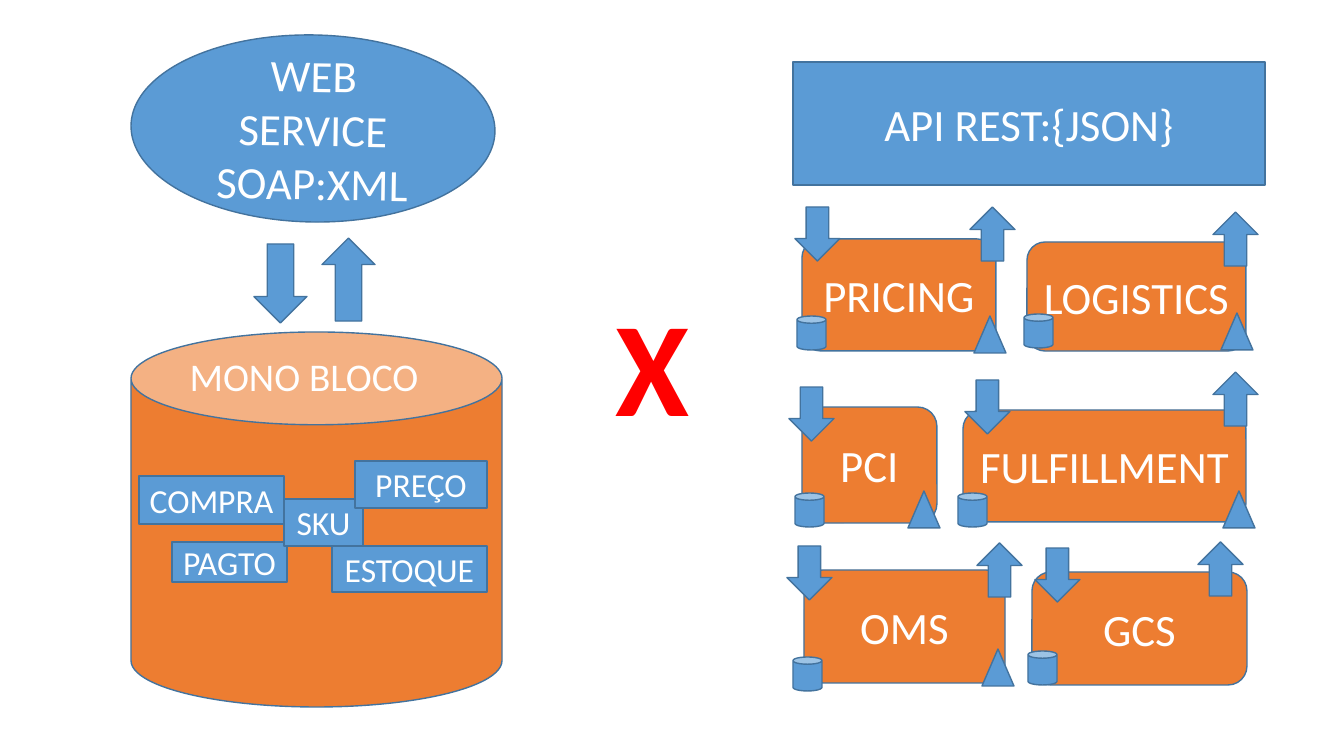
import pptx
import pptx.util
import pptx.dml.color
import pptx.enum.shapes
import pptx.enum.text

RGBColor = pptx.dml.color.RGBColor
SHAPE = pptx.enum.shapes.MSO_SHAPE
ANCHOR = pptx.enum.text.MSO_ANCHOR

BLUE = RGBColor(0x5B, 0x9B, 0xD5)
OUTLINE = RGBColor(0x43, 0x73, 0x9E)
ORANGE = RGBColor(0xED, 0x7D, 0x31)
WHITE = RGBColor(0xFF, 0xFF, 0xFF)
RED = RGBColor(0xFF, 0x00, 0x00)

FONT = "Calibri"
EMU_PER_PX = 914400 / 100.8

# Small marks on a service: shape, width, height, rotation
MARKS = {
    "request": (SHAPE.DOWN_ARROW, 45, 54, 0),
    "response": (SHAPE.DOWN_ARROW, 45, 54, 180),
    "database": (SHAPE.CAN, 29, 34, 0),
    "module": (SHAPE.ISOSCELES_TRIANGLE, 32, 37, 0),
}

# Name, box within the panel, and each mark's offset within the service
SERVICES = [
    ("PRICING", (15, 177, 194, 112),
     {"request": (-7, -32), "response": (168, -32), "database": (-5, 77), "module": (172, 77)}),
    ("LOGISTICS", (240, 180, 219, 109),
     {"response": (186, -30), "database": (-3, 72), "module": (194, 71)}),
    ("PCI", (15, 345, 135, 116),
     {"request": (-13, -20), "database": (-7, 86), "module": (106, 84)}),
    ("FULFILLMENT", (176, 348, 283, 112),
     {"request": (2, -30), "response": (250, -38), "database": (-5, 83), "module": (260, 81)}),
    ("OMS", (17, 508, 201, 113),
     {"request": (-17, -24), "response": (173, -27), "database": (-11, 87), "module": (178, 79)}),
    ("GCS", (245, 510, 215, 113),
     {"request": (3, -24), "response": (166, -30), "database": (-4, 79)}),
]

# Parts of the monolith, boxes within the panel
MONOLITH_PARTS = [
    ("COMPRA", (8, 441, 145, 48)),
    ("PAGTO", (41, 507, 115, 40)),
    ("SKU", (153, 464, 79, 47)),
    ("ESTOQUE", (201, 511, 155, 46)),
    ("PREÇO", (224, 426, 132, 47)),
]


def to_emu(box):
    """Turn pixel lengths into EMU."""
    return [round(length * EMU_PER_PX) for length in box]


def within(origin, box):
    """Shift a box by the left and top of the region that holds it."""
    return origin[0] + box[0], origin[1] + box[1], box[2], box[3]


def write(frame, text, size, color=WHITE, bold=False):
    """Put one centred run into a text frame."""
    frame.word_wrap = True
    paragraph = frame.paragraphs[0]
    paragraph.alignment = pptx.enum.text.PP_ALIGN.CENTER
    run = paragraph.add_run()
    run.text = text
    run.font.name = FONT
    run.font.size = pptx.util.Pt(size)
    run.font.color.rgb = color
    run.font.bold = bold


def draw(slide, kind, box, fill=BLUE, text=None, size=32, rotation=0):
    """Add an outlined shape, with text where given."""
    shape = slide.shapes.add_shape(kind, *to_emu(box))
    shape.shadow.inherit = False
    shape.fill.solid()
    shape.fill.fore_color.rgb = fill
    shape.line.color.rgb = OUTLINE
    shape.line.width = pptx.util.Pt(1)
    shape.rotation = rotation
    if text:
        shape.text_frame.vertical_anchor = ANCHOR.MIDDLE
        write(shape.text_frame, text, size)


def label(slide, box, text, size, color=WHITE, bold=False):
    """Add a free-standing text."""
    frame = slide.shapes.add_textbox(*to_emu(box)).text_frame
    frame.auto_size = pptx.enum.text.MSO_AUTO_SIZE.SHAPE_TO_FIT_TEXT
    write(frame, text, size, color, bold)


def draw_monolith(slide, panel):
    """Draw the SOAP service above the single block and its parts."""
    draw(slide, SHAPE.CAN, within(panel, (0, 297, 371, 375)), ORANGE)
    draw(slide, SHAPE.OVAL, within(panel, (0, 0, 364, 187)),
         text="WEB SERVICE SOAP:XML", rotation=1)
    draw(slide, SHAPE.DOWN_ARROW, within(panel, (123, 209, 53, 79)))
    draw(slide, SHAPE.DOWN_ARROW, within(panel, (191, 203, 53, 83)), rotation=180)
    label(slide, within(panel, (22, 312, 302, 57)), "MONO BLOCO", 28)
    for name, box in MONOLITH_PARTS:
        draw(slide, SHAPE.RECTANGLE, within(panel, box), text=name, size=24)


def draw_service(slide, box, name, marks):
    """Draw one service with its arrows, database and module."""
    draw(slide, SHAPE.ROUNDED_RECTANGLE, box, ORANGE, name)
    for mark, (left, top) in marks.items():
        kind, width, height, rotation = MARKS[mark]
        draw(slide, kind, within(box, (left, top, width, height)), rotation=rotation)


def draw_microservices(slide, panel):
    """Draw the REST API above its separate services."""
    draw(slide, SHAPE.RECTANGLE, within(panel, (6, 0, 472, 123)), text="API REST:{JSON}")
    for name, box, marks in SERVICES:
        draw_service(slide, within(panel, box), name, marks)


presentation = pptx.Presentation()
presentation.slide_width, presentation.slide_height = to_emu((1344, 756))
BLANK_LAYOUT = 6
comparison = presentation.slides.add_slide(presentation.slide_layouts[BLANK_LAYOUT])
draw_monolith(comparison, (131, 35, 371, 672))
draw_microservices(comparison, (787, 62, 478, 629))
label(comparison, (557, 277, 192, 173), "X", 96, RED, True)
presentation.save("out.pptx")
